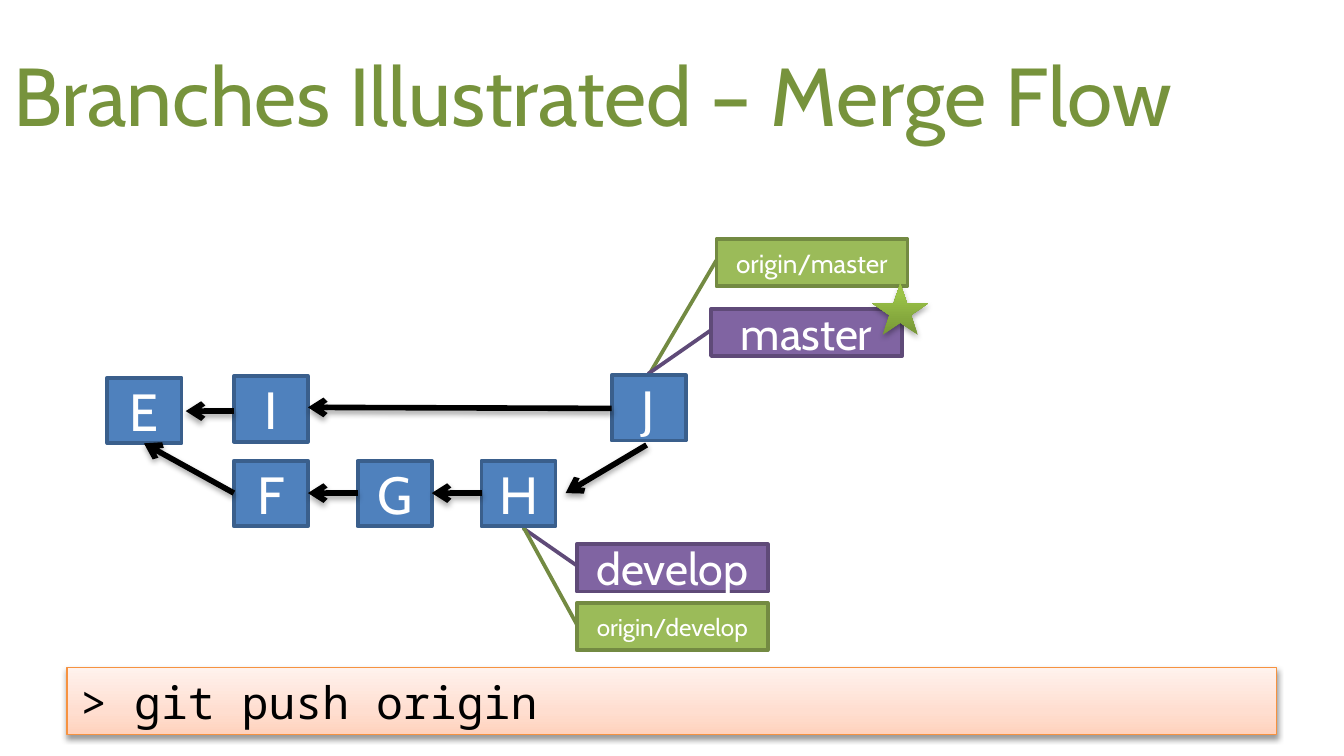
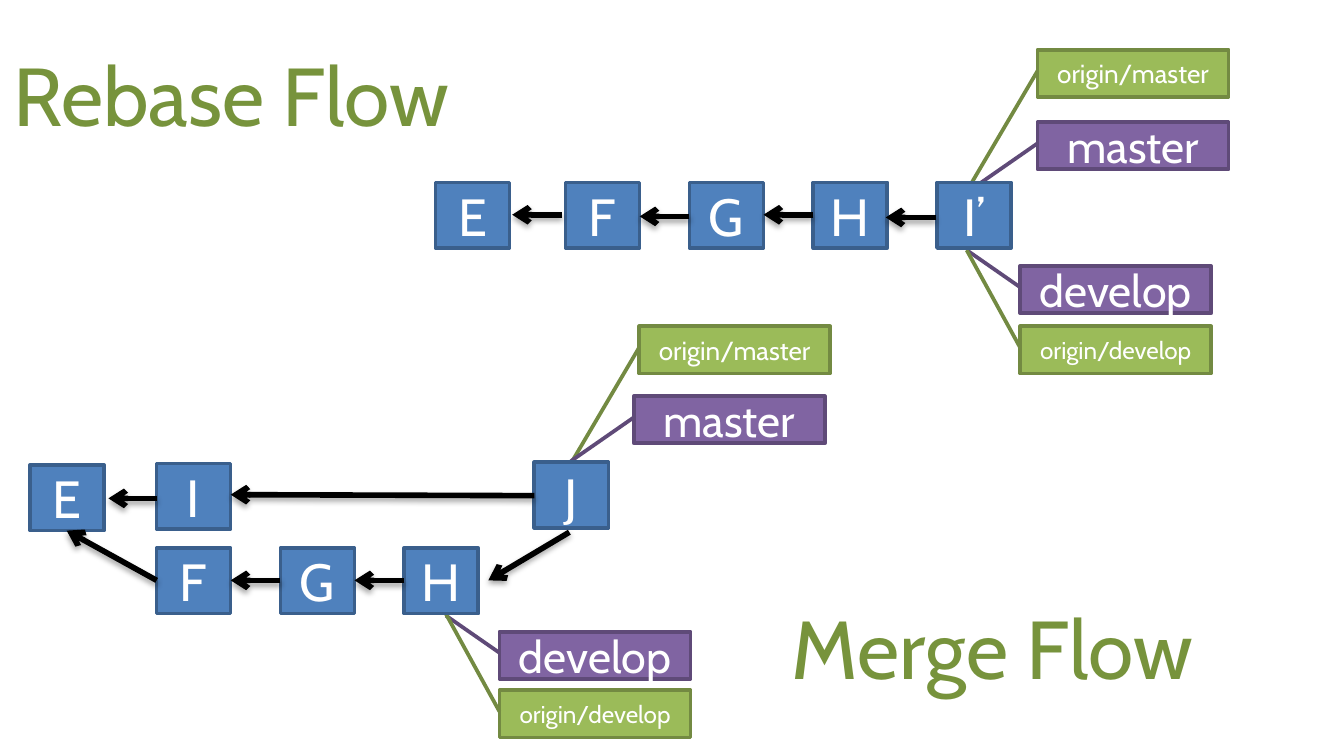
from lxml import etree
from pptx import Presentation
from pptx import util as u
from pptx.dml.color import RGBColor
from pptx.enum import shapes, text
from pptx.oxml.ns import qn

COLORS = {
    "title": "77933C", "white": "FFFFFF", "black": "000000",
    "commit": "4F81BD", "commit_line": "3A5F8C",
    "remote": "9BBB59", "remote_line": "738A42",
    "local": "8064A2", "local_line": "5F4A78",
    "band_line": "F69240",
}
BAND_STOPS = [(0, "FFD2BD"), (35, "FFDED0"), (100, "FFF2ED")]
STAR_STOPS = [(0, "779737"), (80, "9BC348"), (100, "9DC746")]
FONT, MONO = "Cabin", "Noto Sans Mono"
KIND = shapes.MSO_SHAPE
LEFT, CENTER = text.PP_ALIGN.LEFT, text.PP_ALIGN.CENTER
TOP, MIDDLE = text.MSO_ANCHOR.TOP, text.MSO_ANCHOR.MIDDLE

# Branch labels: text size, colour, pointer tip (y, x) as a share of the box
REFS = {
    "origin/master": (14, "remote", 2.86, -0.35),
    "master": (24, "local", 1.38, -0.33),
    "develop": (24, "local", -0.34, -0.28),
    "origin/develop": (13, "remote", -1.62, -0.28),
}
STEP = 2.34  # distance between neighbouring commits

# Commit graphs, all lengths in cm
MERGE = {
    "commits": [("E", 2.03, 7.14), ("I", 4.42, 7.11), ("J", 11.56, 7.09)]
    + [(c, 4.42 + i * STEP, 8.71) for i, c in enumerate("FGH")],
    "refs": [("origin/master", 13.54, 4.52), ("master", 13.44, 5.84),
             ("develop", 10.9, 10.29), ("origin/develop", 10.9, 11.4)],
    "arrows": [(4.42, 9.32, 2.72, 8.38), (6.76, 9.32, 5.82, 9.32),
               (9.1, 9.32, 8.16, 9.32), (4.42, 7.77, 3.51, 7.77),
               (11.56, 7.72, 5.82, 7.7), (12.22, 8.41, 10.69, 9.32)],
}
REBASE = {
    "commits": [("E", 8.23, 3.45)]
    + [(c, 10.69 + i * STEP, 3.45) for i, c in enumerate(["F", "G", "H", "I’"])],
    "refs": [("origin/master", 19.61, 0.94), ("master", 19.61, 2.31),
             ("develop", 19.28, 5.03), ("origin/develop", 19.28, 6.17)],
    "arrows": [(x, y, x - 0.94, y) for x, y in
               [(10.62, 4.06), (13.03, 4.09), (15.37, 4.06), (17.68, 4.11)]],
}

# Each slide: titles (text, x, y, width) and graphs (graph, dx, dy)
PAGES = [
    ([("Branches Illustrated – Merge Flow", 0, 0.58, 22.86)], [(MERGE, 0, 0)]),
    ([("Rebase Flow", 0, 0.58, 22.86), ("Merge Flow", 14.71, 11.02, 9.25)],
     [(REBASE, 0, 0), (MERGE, -1.46, 1.65)]),
]


def write(sp, words, size, color, align=LEFT, anchor=MIDDLE, font=FONT):
    tf = sp.text_frame
    tf.word_wrap = True
    tf.vertical_anchor = anchor
    p = tf.paragraphs[0]
    p.text = words
    p.alignment = align
    p.font.name = font
    p.font.size = u.Pt(size)
    p.font.color.rgb = RGBColor.from_string(COLORS[color])


def drop_shadow(sp, alpha=35, distance=1.8):
    effects = sp.element.spPr.get_or_add_effectLst()
    shadow = etree.SubElement(
        effects, qn("a:outerShdw"), blurRad=str(u.Pt(3.1)),
        dist=str(u.Pt(distance)), dir="5400000", rotWithShape="0")
    color = etree.SubElement(shadow, qn("a:srgbClr"), val=COLORS["black"])
    etree.SubElement(color, qn("a:alpha"), val=str(alpha * 1000))


prs = Presentation()
prs.slide_width, prs.slide_height = u.Cm(25.4), u.Cm(14.29)
slides = []

for titles, graphs in PAGES:
    s = prs.slides.add_slide(prs.slide_layouts[6])
    slides.append(s)

    # Titles
    for words, x, y, w in titles:
        sp = s.shapes.add_textbox(u.Cm(x), u.Cm(y), u.Cm(w), u.Cm(2.39))
        write(sp, words, 44, "title")

    for graph, dx, dy in graphs:
        # Branch labels, then commits
        boxes = [(KIND.LINE_CALLOUT_1, name, x, y, 3.61, 0.89, *REFS[name])
                 for name, x, y in graph["refs"]]
        boxes += [(KIND.RECTANGLE, name, x, y, 1.4, 1.24, 28, "commit")
                  for name, x, y in graph["commits"]]
        for kind, name, x, y, w, h, size, color, *tip in boxes:
            sp = s.shapes.add_shape(kind, u.Cm(x + dx), u.Cm(y + dy), u.Cm(w), u.Cm(h))
            sp.shadow.inherit = False
            sp.fill.solid()
            sp.fill.fore_color.rgb = RGBColor.from_string(COLORS[color])
            sp.line.color.rgb = RGBColor.from_string(COLORS[color + "_line"])
            sp.line.width = u.Pt(2)
            if tip:
                for i, value in enumerate([0.45, 0, *tip]):
                    sp.adjustments[i] = value
            write(sp, name, size, "white", CENTER)

        # Arrows to the parent commits
        for x1, y1, x2, y2 in graph["arrows"]:
            sp = s.shapes.add_connector(
                shapes.MSO_CONNECTOR.STRAIGHT,
                u.Cm(x1 + dx), u.Cm(y1 + dy), u.Cm(x2 + dx), u.Cm(y2 + dy))
            sp.line.color.rgb = RGBColor.from_string(COLORS["black"])
            sp.line.width = u.Pt(3)
            etree.SubElement(sp.line._get_or_add_ln(), qn("a:tailEnd"), type="arrow")
            drop_shadow(sp)

# Command band and the star on the current branch
s = slides[0]
band = s.shapes.add_shape(KIND.RECTANGLE, u.Cm(1.27), u.Cm(12.62), u.Cm(22.86), u.Cm(1.27))
star = s.shapes.add_shape(KIND.STAR_5_POINT, u.Cm(16.48), u.Cm(5.36), u.Cm(1.07), u.Cm(0.97))
for sp, stops in [(band, BAND_STOPS), (star, STAR_STOPS)]:
    sp.shadow.inherit = False
    sp.fill.gradient()
    sp.fill.gradient_angle = 90
    gs_list = sp.element.spPr.find(".//" + qn("a:gsLst"))
    gs_list.clear()
    for position, color in stops:
        gs = etree.SubElement(gs_list, qn("a:gs"), pos=str(position * 1000))
        etree.SubElement(gs, qn("a:srgbClr"), val=color)
band.line.color.rgb = RGBColor.from_string(COLORS["band_line"])
band.line.width = u.Pt(0.75)
write(band, "> git push origin", 24, "black", anchor=TOP, font=MONO)
drop_shadow(band, 38, 1.6)
star.line.fill.background()
drop_shadow(star)

prs.save("out.pptx")
